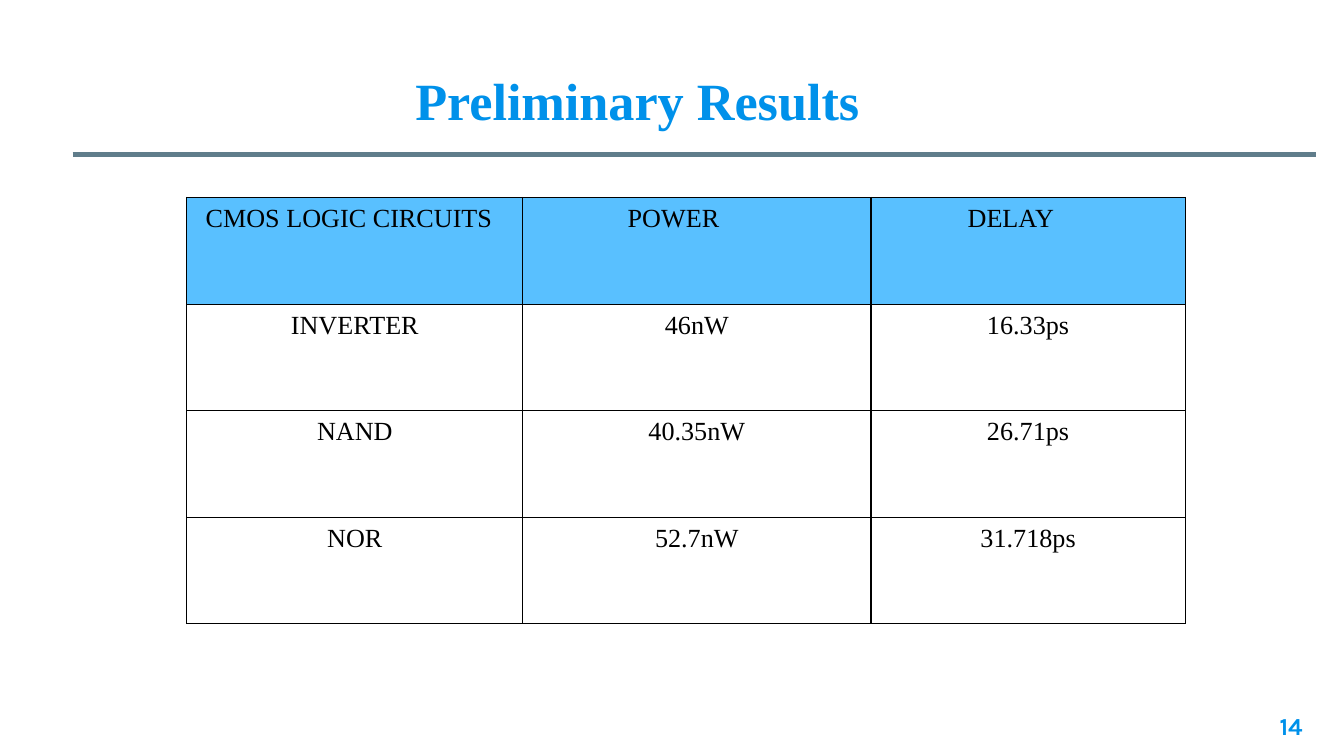
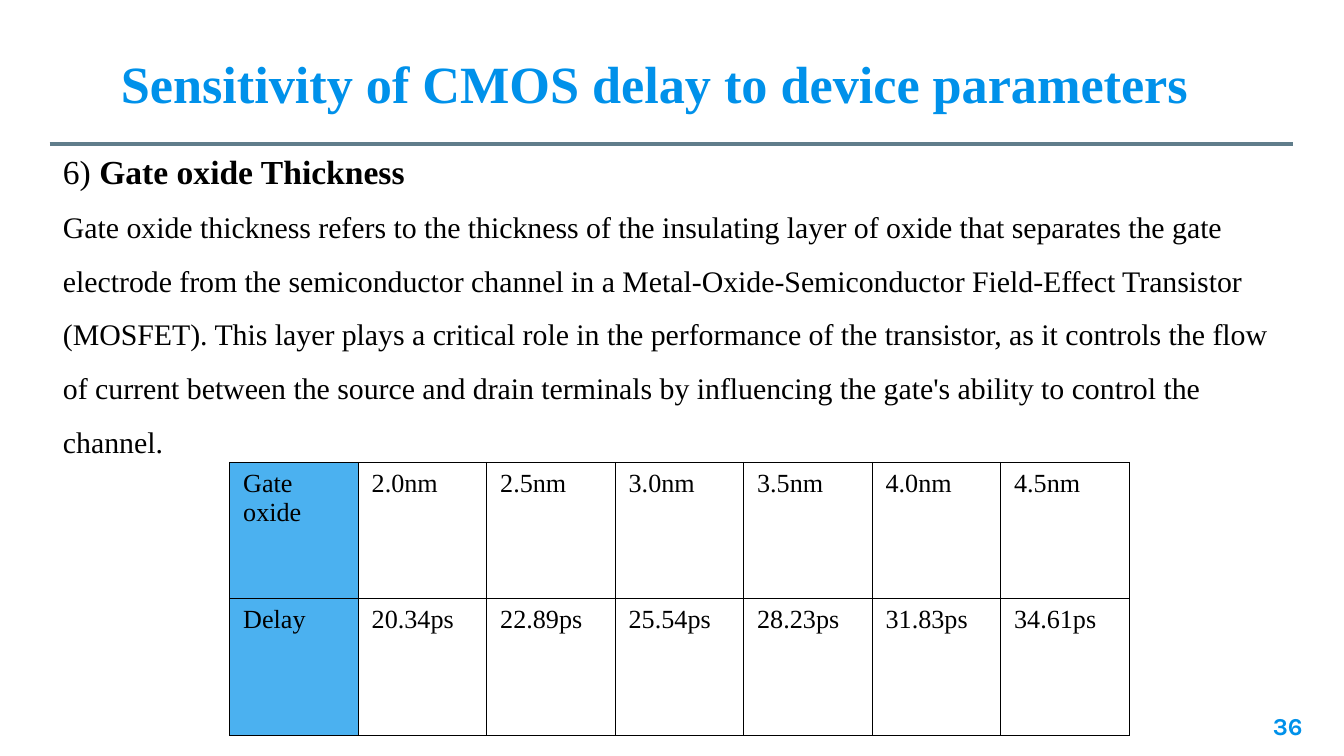
from lxml.etree import SubElement
from pptx import Presentation
from pptx.dml.color import RGBColor
from pptx.enum.shapes import MSO_CONNECTOR
from pptx.enum.text import MSO_ANCHOR, MSO_AUTO_SIZE, PP_ALIGN
from pptx.oxml.ns import qn
from pptx.util import Inches, Pt

COLOURS = {
    "accent": "0091EA",
    "rule": "607D8B",
    "ink": "000000",
    "header_row": "59C0FF",
    "header_column": "4BB1F0",
}
SERIF, NUMBER_FONT = "Times New Roman", "Karla"
TITLE_ONLY = 5
RULE_LENGTH = 92.5


class Deck:
    """Style and current slide; lengths count square grid units, 100 across."""

    def __init__(self):
        self.presentation = Presentation()
        self.presentation.slide_width = Inches(10)
        self.presentation.slide_height = Inches(5.625)
        self.unit = self.presentation.slide_width / 100
        self.slide = None

    def grid(self, *lengths):
        return [round(length * self.unit) for length in lengths]

    def colour(self, name):
        return RGBColor.from_string(COLOURS[name])

    def style(self, font, size, colour="ink", bold=None, face=SERIF):
        font.name, font.size, font.bold = face, Pt(size), bold
        font.color.rgb = self.colour(colour)

    def start(self, title, title_box, rule_start, number):
        """Add a slide with its title, rule and page number."""
        layout = self.presentation.slide_layouts[TITLE_ONLY]
        self.slide = self.presentation.slides.add_slide(layout)
        self.number(number)
        self.rule(*rule_start)
        self.title(title, title_box)

    def title(self, text, box):
        heading = self.slide.shapes.title
        heading.left, heading.top, heading.width, heading.height = self.grid(*box)
        frame = heading.text_frame
        frame.text = text
        frame.word_wrap = True
        frame.auto_size = MSO_AUTO_SIZE.NONE
        frame.vertical_anchor = MSO_ANCHOR.TOP
        frame.paragraphs[0].alignment = PP_ALIGN.LEFT
        self.style(frame.paragraphs[0].font, 28, "accent", True)

    def rule(self, left, top):
        ends = self.grid(left, top, left + RULE_LENGTH, top)
        line = self.slide.shapes.add_connector(MSO_CONNECTOR.STRAIGHT, *ends)
        line.line.color.rgb = self.colour("rule")
        line.line.width = Pt(2.25)
        SubElement(line._element.spPr, qn("a:effectLst"))

    def text_box(self, *box):
        frame = self.slide.shapes.add_textbox(*self.grid(*box)).text_frame
        frame.word_wrap = True
        return frame

    def number(self, value):
        frame = self.text_box(91.9, 51.9, 6, 4.3)
        frame.margin_top = frame.margin_bottom = Inches(0.1)
        frame.text = str(value)
        frame.paragraphs[0].alignment = PP_ALIGN.RIGHT
        self.style(frame.paragraphs[0].font, 13, "accent", True, NUMBER_FONT)

    def section(self, box, label, heading, body):
        """Numbered heading over a widely spaced paragraph."""
        frame = self.text_box(*box)
        opening = frame.paragraphs[0]
        for words, bold in ((label, False), (heading, True)):
            run = opening.add_run()
            run.text = words
            self.style(run.font, 18, bold=bold)
        explanation = frame.add_paragraph()
        explanation.text = body
        explanation.line_spacing = 1.5
        self.style(explanation.font, 16)

    def border(self, cell):
        properties = cell._tc.get_or_add_tcPr()
        for side in ("lnL", "lnR", "lnT", "lnB"):
            edge = SubElement(properties, qn(f"a:{side}"), w=str(Pt(0.75)))
            fill = SubElement(edge, qn("a:solidFill"))
            SubElement(fill, qn("a:srgbClr"), val=COLOURS["ink"])

    def table(self, left, top, widths, row_height, rows, shade, align=PP_ALIGN.LEFT):
        """Bordered table; shade(row, column) names a fill colour or None."""
        box = self.grid(left, top, sum(widths), row_height * len(rows))
        table = self.slide.shapes.add_table(len(rows), len(widths), *box).table
        table.first_row = table.horz_banding = False
        for column, width in zip(table.columns, self.grid(*widths)):
            column.width = width
        for r, values in enumerate(rows):
            for c, value in enumerate(values):
                cell = table.cell(r, c)
                cell.text = value
                self.border(cell)
                fill = shade(r, c)
                if fill:
                    cell.fill.solid()
                    cell.fill.fore_color.rgb = self.colour(fill)
                else:
                    cell.fill.background()
                paragraph = cell.text_frame.paragraphs[0]
                paragraph.alignment = align
                self.style(paragraph.font, 14)
        return table


def preliminary_results(deck):
    deck.start("Preliminary Results", (29.9, 4.6, 40, 5.7), (5.4, 11.5), 14)
    results = deck.table(
        13.9, 14.7, (25, 25.9, 23.4), 7.93,
        [
            ("CMOS LOGIC CIRCUITS", "POWER", "DELAY"),
            ("INVERTER", "46nW", "16.33ps"),
            ("NAND", "40.35nW", "26.71ps"),
            ("NOR", "52.7nW", "31.718ps"),
        ],
        lambda row, column: "header_row" if row == 0 else None,
        PP_ALIGN.CENTER,
    )
    # Header labels are indented from the left
    for column, indent in enumerate(deck.grid(1.4, 7.8, 7.2)):
        header = results.cell(0, column)
        header.margin_left = indent
        header.text_frame.paragraphs[0].alignment = PP_ALIGN.LEFT


def gate_oxide_thickness(deck):
    deck.start("Sensitivity of CMOS delay to device parameters",
               (8, 3.3, 89.9, 5.7), (3.7, 10.7), 36)
    deck.section(
        (3.7, 10.7, 92.5, 23.8), "6) ", "Gate oxide Thickness",
        "Gate oxide thickness refers to the thickness of the insulating layer "
        "of oxide that separates the gate electrode from the semiconductor "
        "channel in a Metal-Oxide-Semiconductor Field-Effect Transistor "
        "(MOSFET). This layer plays a critical role in the performance of the "
        "transistor, as it controls the flow of current between the source and "
        "drain terminals by influencing the gate's ability to control the "
        "channel.",
    )
    deck.table(
        17.1, 34.4, [9.56] * 7, 10.15,
        [
            ("Gate oxide", "2.0nm", "2.5nm", "3.0nm", "3.5nm", "4.0nm", "4.5nm"),
            ("Delay", "20.34ps", "22.89ps", "25.54ps", "28.23ps", "31.83ps",
             "34.61ps"),
        ],
        lambda row, column: "header_column" if column == 0 else None,
    )


def main():
    deck = Deck()
    preliminary_results(deck)
    gate_oxide_thickness(deck)
    deck.presentation.save("out.pptx")


if __name__ == "__main__":
    main()
